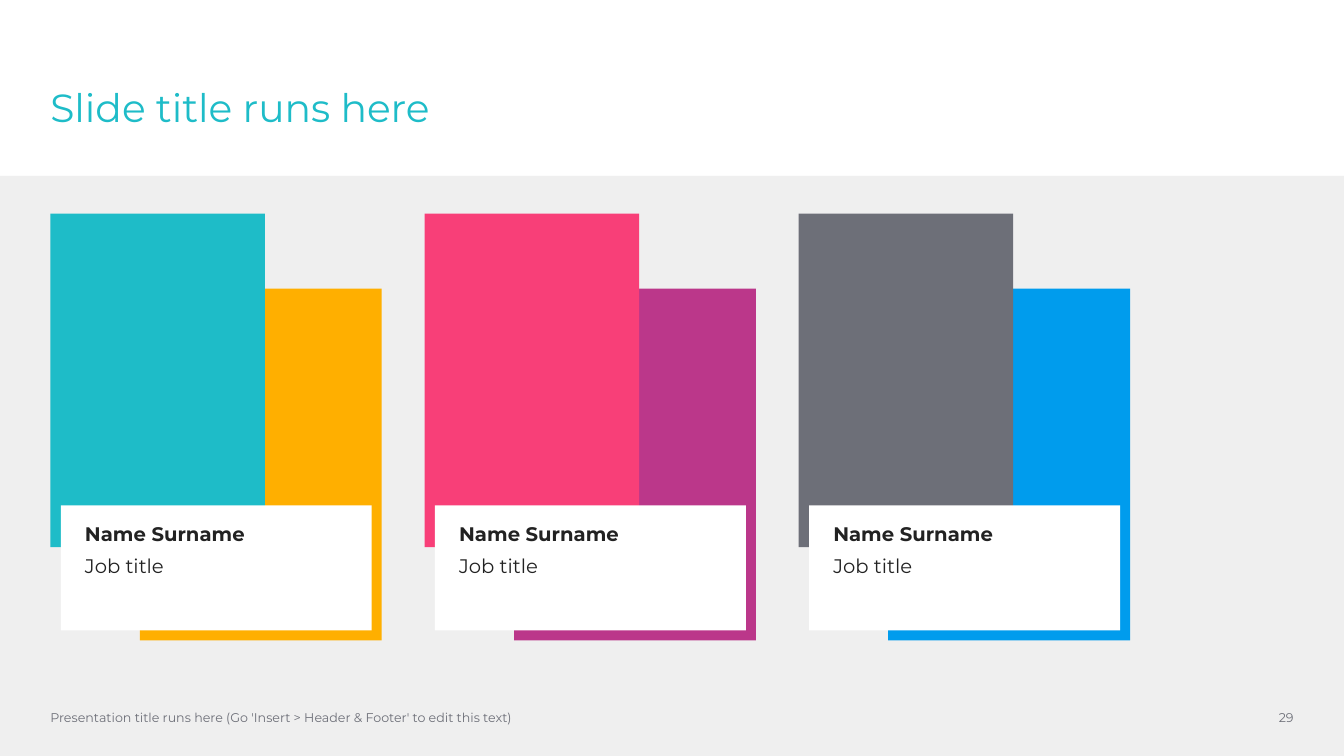
import pptx
import pptx.util
import pptx.dml.color
import pptx.enum.shapes
import pptx.enum.text

ALIGN = pptx.enum.text.PP_ALIGN
ANCHOR = pptx.enum.text.MSO_ANCHOR
WIDTH, HEIGHT = pptx.util.Inches(13.333), pptx.util.Inches(7.5)
COLORS = {
    "panel": "EFEFEF", "white": "FFFFFF", "ink": "222222", "teal": "1EBCC8",
    "amber": "FFAF00", "pink": "F83F78", "purple": "BB378A",
    "grey": "6D6F78", "blue": "009CED",
}
CARDS = [("teal", "amber"), ("pink", "purple"), ("grey", "blue")]
MARGIN = 3.75
CARD_TOP = 28.25
CARD_PITCH = 27.84
TITLE = {"size": 28, "color": "teal"}
NAME = {"size": 14, "color": "ink", "bold": True}
JOB = {"size": 14, "color": "ink", "bold": False}
SMALL = {"size": 9, "color": "grey"}


def place(box):
    """Turn a box in percent of the slide's size into lengths."""
    left, top, width, height = box
    return [round(share * side / 100) for share, side in
            ((left, WIDTH), (top, HEIGHT), (width, WIDTH), (height, HEIGHT))]


def inside(box, shares):
    """Shift a box of percentages so that it starts from another box."""
    left, top, width, height = shares
    return box[0] + left, box[1] + top, width, height


def add_block(page, box, color):
    """Add a plain coloured rectangle."""
    block = page.shapes.add_shape(
        pptx.enum.shapes.MSO_SHAPE.RECTANGLE, *place(box))
    block.shadow.inherit = False
    block.fill.solid()
    block.fill.fore_color.rgb = pptx.dml.color.RGBColor.from_string(COLORS[color])
    block.line.fill.background()
    return block


def write(shape, lines, insets=(0, 0, 0, 0), anchor=ANCHOR.TOP,
          align=ALIGN.LEFT, line_spacing=1.0):
    """Fill a shape with paragraphs given as pairs of text and format."""
    frame = shape.text_frame
    settings = {"word_wrap": True, "vertical_anchor": anchor}
    sides = ("margin_left", "margin_top", "margin_right", "margin_bottom")
    settings.update(zip(sides, map(pptx.util.Inches, insets)))
    for name, value in settings.items():
        setattr(frame, name, value)
    for index, (text, style) in enumerate(lines):
        para = frame.add_paragraph() if index else frame.paragraphs[0]
        para.alignment = align
        para.line_spacing = line_spacing
        if index:
            para.space_before = pptx.util.Pt(6)
        span = para.add_run()
        span.text = text
        formats = {"name": "Montserrat", "size": pptx.util.Pt(style["size"]),
                   "bold": style.get("bold", False)}
        for name, value in formats.items():
            setattr(span.font, name, value)
        span.font.color.rgb = pptx.dml.color.RGBColor.from_string(
            COLORS[style["color"]])


def add_text(page, box, text, style, **layout):
    """Add a text box with one paragraph."""
    write(page.shapes.add_textbox(*place(box)), [(text, style)], **layout)


def add_header(page, box):
    """Add the slide title."""
    add_text(page, box, "Slide title runs here", TITLE, line_spacing=0.9)


def add_card(page, box, front, back):
    """Add two overlapping blocks and the name plate of one person."""
    add_block(page, inside(box, (6.66, 9.93, 18, 46.53)), back)
    add_block(page, inside(box, (0, 0, 15.96, 44.13)), front)
    plate = add_block(page, inside(box, (0.77, 38.6, 23.14, 16.53)), "white")
    write(plate, [("Name Surname", NAME), ("Job title", JOB)],
          insets=(0.24, 0.16, 0.16, 0))


def add_footer(page, box):
    """Add the presentation title and the page number."""
    height = box[3]
    add_text(page, inside(box, (0, 0, 68.3, height)),
             "Presentation title runs here "
             "(Go 'Insert > Header & Footer' to edit this text)",
             SMALL, anchor=ANCHOR.MIDDLE)
    add_text(page, inside(box, (box[2] - 6, 0, 6, height)), "29", SMALL,
             anchor=ANCHOR.MIDDLE, align=ALIGN.RIGHT)


def main():
    """Build the team slide and save it."""
    deck = pptx.Presentation()
    deck.slide_width, deck.slide_height = WIDTH, HEIGHT
    page = deck.slides.add_slide(deck.slide_layouts[6])
    add_block(page, (0, 23.25, 100, 76.75), "panel")
    add_header(page, (MARGIN, 11.75, 86.55, 16.5))
    for index, (front, back) in enumerate(CARDS):
        box = (MARGIN + index * CARD_PITCH, CARD_TOP)
        add_card(page, box, front, back)
    add_footer(page, (MARGIN, 93.2, 100 - 2 * MARGIN, 3.33))
    deck.save("out.pptx")


if __name__ == "__main__":
    main()
